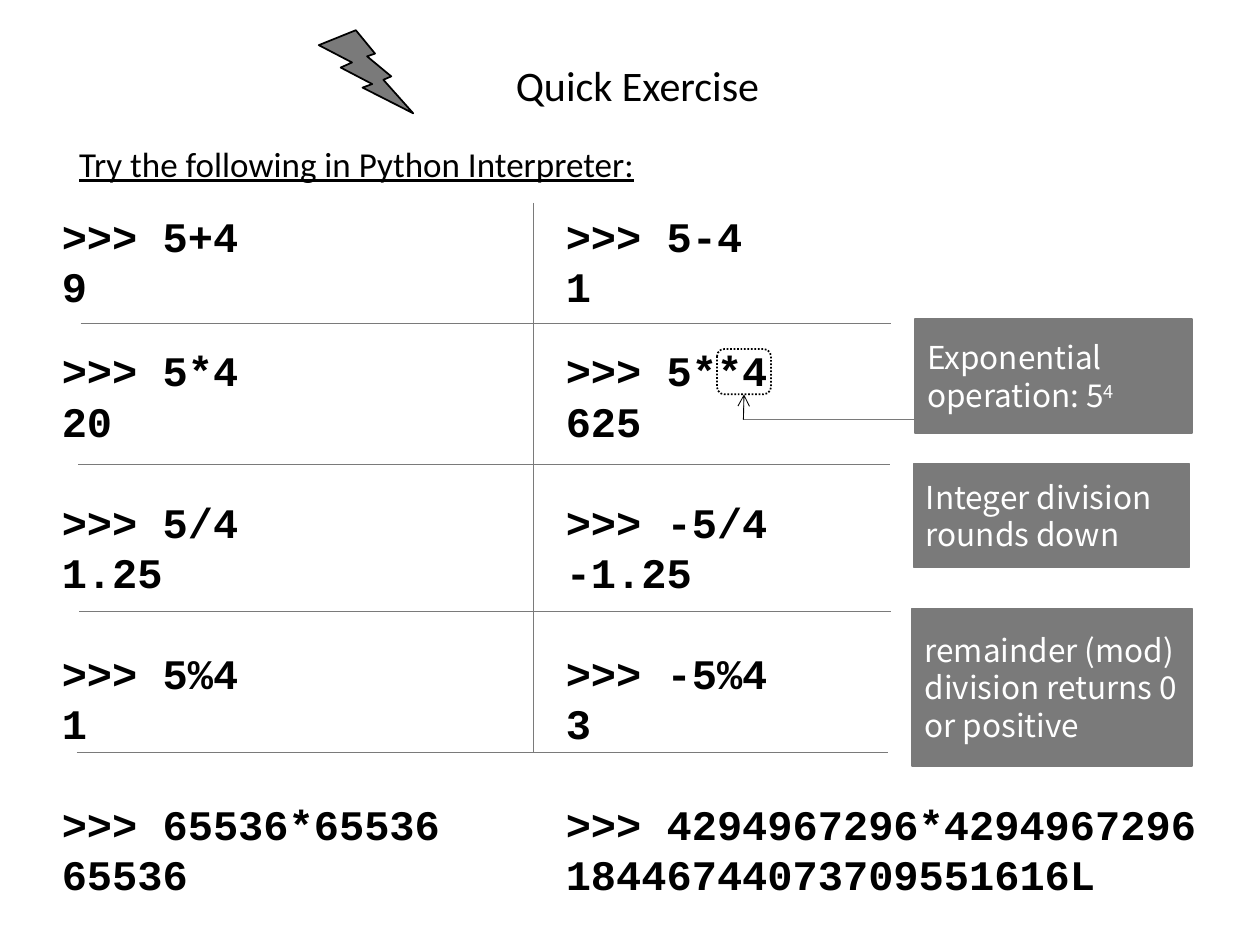
from dataclasses import dataclass

from lxml import etree
from pptx import Presentation
from pptx.dml.color import RGBColor
from pptx.enum.dml import MSO_LINE
from pptx.enum.shapes import MSO_CONNECTOR, MSO_SHAPE
from pptx.enum.text import MSO_ANCHOR, PP_ALIGN
from pptx.oxml.ns import qn
from pptx.util import Inches, Pt

STRAIGHT = MSO_CONNECTOR.STRAIGHT
RECTANGLE = MSO_SHAPE.RECTANGLE
ROUNDED = MSO_SHAPE.ROUNDED_RECTANGLE
BOLT = MSO_SHAPE.LIGHTNING_BOLT
DOTTED = MSO_LINE.ROUND_DOT
CENTER = PP_ALIGN.CENTER
LEFT = PP_ALIGN.LEFT
MIDDLE = MSO_ANCHOR.MIDDLE
TOP = MSO_ANCHOR.TOP
BOTTOM_SITE = 2


@dataclass(frozen=True)
class Theme:
    ink: RGBColor = RGBColor(0, 0, 0)
    gray: RGBColor = RGBColor(0x7A, 0x7A, 0x7A)
    paper: RGBColor = RGBColor(255, 255, 255)
    heading_font: str = "Calibri"
    code_font: str = "Courier New"
    note_font: str = "Noto Sans CJK SC"
    title_size: int = 24
    prompt_size: int = 20
    code_size: int = 24
    note_size: int = 18
    leading: float = 1.2
    outline: float = 1
    hairline: float = 0.5


THEME = Theme()
COLUMN_TAB = str(Inches(4))

EXERCISES = [
    (0, ">>> 5+4", "9", ">>> 5-4", "1"),
    (16, ">>> 5*4", "20", ">>> 5**4", "625"),
    (24, ">>> 5/4", "1.25", ">>> -5/4", "-1.25"),
    (24, ">>> 5%4", "1", ">>> -5%4", "3"),
    (24, ">>> 65536*65536", "65536",
     ">>> 4294967296*4294967296", "18446744073709551616L"),
]

NOTES = [
    ((7.26, 2.53, 2.2, 0.91), "Exponential operation: 5", "4"),
    ((7.25, 3.68, 2.19, 0.82), "Integer division rounds down", ""),
    ((7.24, 4.83, 2.22, 1.25), "remainder (mod) division returns 0 or positive", ""),
]

RULES = [
    (4.23, 1.61, 4.23, 5.97),
    (0.64, 2.57, 7.07, 2.57),
    (0.62, 3.69, 7.06, 3.69),
    (0.63, 4.85, 7.07, 4.85),
    (0.61, 5.97, 7.05, 5.97),
]


def set_font(paragraph, name, size, color, bold=False, underline=False):
    font = paragraph.font
    font.name, font.size = name, Pt(size)
    font.bold, font.underline = bold, underline
    font.color.rgb = color


def place(placeholder, left, top, width, height):
    placeholder.left, placeholder.top = Inches(left), Inches(top)
    placeholder.width, placeholder.height = Inches(width), Inches(height)


def add_title(slide):
    title = slide.shapes.title
    place(title, 3.68, 0.42, 2.76, 0.5)
    title.text_frame.text = "Quick Exercise"
    paragraph = title.text_frame.paragraphs[0]
    paragraph.alignment = CENTER
    set_font(paragraph, THEME.heading_font, THEME.title_size, THEME.ink)


def add_prompt(slide):
    prompt = slide.shapes.add_textbox(Inches(0.53), Inches(1.08), Inches(9.11), Inches(0.44))
    prompt.text_frame.word_wrap = True
    paragraph = prompt.text_frame.paragraphs[0]
    paragraph.text = "Try the following in Python Interpreter:"
    set_font(paragraph, THEME.heading_font, THEME.prompt_size, THEME.ink, underline=True)


def format_code_line(paragraph, gap):
    properties = paragraph._p.get_or_add_pPr()
    properties.set("marL", "0")
    properties.set("indent", "0")
    properties.set("defTabSz", COLUMN_TAB)
    etree.SubElement(properties, qn("a:buNone"))
    tabs = etree.SubElement(properties, qn("a:tabLst"))
    etree.SubElement(tabs, qn("a:tab"), pos=COLUMN_TAB, algn="l")
    paragraph.line_spacing = Pt(THEME.code_size * THEME.leading)
    paragraph.space_before = Pt(gap * THEME.leading)
    set_font(paragraph, THEME.code_font, THEME.code_size, THEME.ink, bold=True)


def add_exercises(slide):
    body = slide.placeholders[1]
    place(body, 0.39, 1.62, 9.52, 5.57)
    frame = body.text_frame
    frame.vertical_anchor = TOP
    lines = []
    for gap, left_input, left_output, right_input, right_output in EXERCISES:
        lines.append((gap, left_input, right_input))
        lines.append((0, left_output, right_output))
    for index, (gap, left_code, right_code) in enumerate(lines):
        paragraph = frame.add_paragraph() if index else frame.paragraphs[0]
        paragraph.text = f"{left_code}\t{right_code}"
        format_code_line(paragraph, gap)


def add_figure(slide, preset, bounds, fill, outline):
    figure = slide.shapes.add_shape(preset, *map(Inches, bounds))
    figure.shadow.inherit = False
    if fill is None:
        figure.fill.background()
    else:
        figure.fill.solid()
        figure.fill.fore_color.rgb = fill
    figure.line.color.rgb = outline
    figure.line.width = Pt(THEME.outline)
    return figure


def add_note(slide, bounds, text, exponent):
    note = add_figure(slide, RECTANGLE, bounds, THEME.gray, THEME.gray)
    frame = note.text_frame
    frame.word_wrap = True
    frame.vertical_anchor = MIDDLE
    paragraph = frame.paragraphs[0]
    paragraph.alignment = LEFT
    paragraph.line_spacing = Pt(THEME.note_size * THEME.leading)
    set_font(paragraph, THEME.note_font, THEME.note_size, THEME.paper)
    paragraph.add_run().text = text
    if exponent:
        raised = paragraph.add_run()
        raised.text = exponent
        raised._r.get_or_add_rPr().set("baseline", "30000")


def add_rule(slide, ends, color, width):
    rule = slide.shapes.add_connector(STRAIGHT, *map(Inches, ends))
    rule.line.color.rgb = color
    rule.line.width = Pt(width)
    etree.SubElement(rule._element.spPr, qn("a:effectLst"))
    return rule


def add_power_pointer(slide):
    power = add_figure(slide, ROUNDED, (5.69, 2.77, 0.43, 0.36), None, THEME.ink)
    power.line.dash_style = DOTTED
    add_rule(slide, (7.26, 3.33, 5.9, 3.33), THEME.gray, THEME.outline)
    arrow = add_rule(slide, (5.9, 3.33, 5.9, 3.13), THEME.ink, THEME.hairline)
    arrow.end_connect(power, BOTTOM_SITE)
    etree.SubElement(arrow.line._get_or_add_ln(), qn("a:tailEnd"), type="arrow")


def main():
    presentation = Presentation()
    presentation.slide_width, presentation.slide_height = Inches(10), Inches(7.5)
    slide = presentation.slides.add_slide(presentation.slide_layouts[1])
    add_figure(slide, BOLT, (2.53, 0.24, 0.75, 0.66), THEME.gray, THEME.ink)
    add_title(slide)
    add_prompt(slide)
    add_exercises(slide)
    for bounds, text, exponent in NOTES:
        add_note(slide, bounds, text, exponent)
    add_power_pointer(slide)
    for ends in RULES:
        add_rule(slide, ends, THEME.gray, THEME.hairline)
    presentation.save("out.pptx")


if __name__ == "__main__":
    main()
